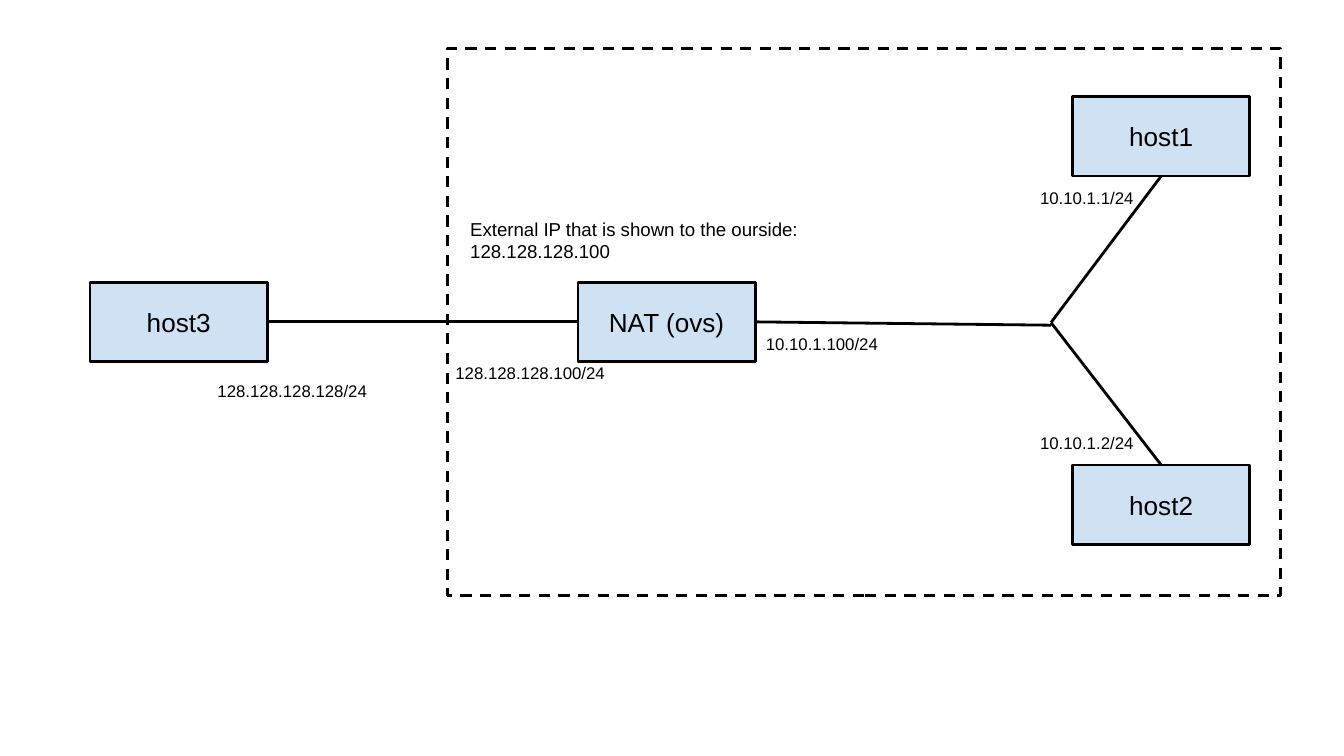
from dataclasses import dataclass

from lxml import etree
from pptx import Presentation
from pptx import util as u
from pptx.dml.color import RGBColor
from pptx.enum import dml, shapes, text
from pptx.oxml.ns import qn


@dataclass(frozen=True)
class Theme:
    font: str = "Arial"
    ink: RGBColor = RGBColor(0, 0, 0)
    node_fill: RGBColor = RGBColor(0xCF, 0xE2, 0xF3)
    node_size: int = 14
    note_size: int = 10
    address_size: int = 9
    line_width: float = 1.5
    inset: float = 0.1


@dataclass(frozen=True)
class Node:
    name: str
    left: float
    top: float
    width: float = 1.32
    height: float = 0.59

    @property
    def middle(self) -> float:
        return self.top + self.height / 2

    @property
    def center(self) -> float:
        return self.left + self.width / 2

    @property
    def right(self) -> float:
        return self.left + self.width

    @property
    def bottom(self) -> float:
        return self.top + self.height


@dataclass(frozen=True)
class Label:
    words: str
    left: float
    top: float
    width: float
    height: float
    size: int


@dataclass(frozen=True)
class Link:
    start: tuple[float, float]
    end: tuple[float, float]


THEME = Theme()
PAGE_WIDTH = u.Inches(10)
PAGE_HEIGHT = PAGE_WIDTH * 9 // 16

# Hosts and the address translator
HOST3 = Node("host3", 0.67, 2.1)
NAT = Node("NAT (ovs)", 4.3, 2.1)
HOST2 = Node("host2", 7.98, 3.46)
HOST1 = Node("host1", 7.98, 0.72)
NODES = [HOST3, NAT, HOST2, HOST1]

# Network links, meeting at the inner junction
JUNCTION = (7.82, 2.4)
LINKS = [
    Link((HOST3.right, HOST3.middle), (NAT.left, NAT.middle)),
    Link(JUNCTION, (HOST1.center, HOST1.bottom)),
    Link(JUNCTION, (HOST2.center, HOST2.top)),
    Link((NAT.right, NAT.middle), (7.82, 2.42)),
]

# Addresses and the note above the translator
LABELS = [
    Label("10.10.1.100/24", 5.6, 2.41, 1.06, 0.18, THEME.address_size),
    Label("10.10.1.2/24", 7.64, 3.14, 0.99, 0.18, THEME.address_size),
    Label("10.10.1.1/24", 7.64, 1.32, 0.99, 0.18, THEME.address_size),
    Label("External IP that is shown to the ourside: 128.128.128.100",
          3.4, 1.52, 2.82, 0.59, THEME.note_size),
    Label("128.128.128.100/24", 3.29, 2.62, 1.5, 0.19, THEME.address_size),
    Label("128.128.128.128/24", 1.52, 2.76, 1.5, 0.19, THEME.address_size),
]


def apply(target, values: dict) -> None:
    for name, value in values.items():
        setattr(target, name, value)


def style_line(line) -> None:
    line.color.rgb = THEME.ink
    line.width = u.Pt(THEME.line_width)


def write(box, words: str, size: int, align, anchor) -> None:
    frame = box.text_frame
    inset = u.Inches(THEME.inset)
    apply(frame, {"word_wrap": True, "vertical_anchor": anchor,
                  "margin_left": inset, "margin_right": inset,
                  "margin_top": inset, "margin_bottom": inset})
    para = frame.paragraphs[0]
    para.alignment = align
    span = para.add_run()
    span.text = words
    apply(span.font, {"name": THEME.font, "size": u.Pt(size)})
    span.font.color.rgb = THEME.ink


def add_rectangle(page, left: float, top: float, width: float, height: float):
    box = page.shapes.add_shape(
        shapes.MSO_SHAPE.RECTANGLE,
        u.Inches(left), u.Inches(top), u.Inches(width), u.Inches(height))
    box.shadow.inherit = False
    style_line(box.line)
    return box


def add_boundary(page) -> None:
    box = add_rectangle(page, 3.33, 0.36, 6.2, 4.07)
    box.fill.background()
    box.line.dash_style = dml.MSO_LINE.DASH


def add_node(page, node: Node) -> None:
    box = add_rectangle(page, node.left, node.top, node.width, node.height)
    box.fill.solid()
    box.fill.fore_color.rgb = THEME.node_fill
    write(box, node.name, THEME.node_size,
          text.PP_ALIGN.CENTER, text.MSO_ANCHOR.MIDDLE)


def add_link(page, link: Link) -> None:
    ends = [u.Inches(value) for value in (*link.start, *link.end)]
    line = page.shapes.add_connector(shapes.MSO_CONNECTOR.STRAIGHT, *ends)
    style_line(line.line)
    etree.SubElement(line._element.spPr, qn("a:effectLst"))


def add_label(page, label: Label) -> None:
    box = page.shapes.add_textbox(
        u.Inches(label.left), u.Inches(label.top),
        u.Inches(label.width), u.Inches(label.height))
    write(box, label.words, label.size,
          text.PP_ALIGN.LEFT, text.MSO_ANCHOR.TOP)


def main() -> None:
    deck = Presentation()
    apply(deck, {"slide_width": PAGE_WIDTH, "slide_height": PAGE_HEIGHT})
    page = deck.slides.add_slide(deck.slide_layouts[6])

    # Dashed private network behind everything else
    add_boundary(page)
    for node in NODES:
        add_node(page, node)
    for link in LINKS:
        add_link(page, link)
    for label in LABELS:
        add_label(page, label)

    deck.save("out.pptx")


main()
